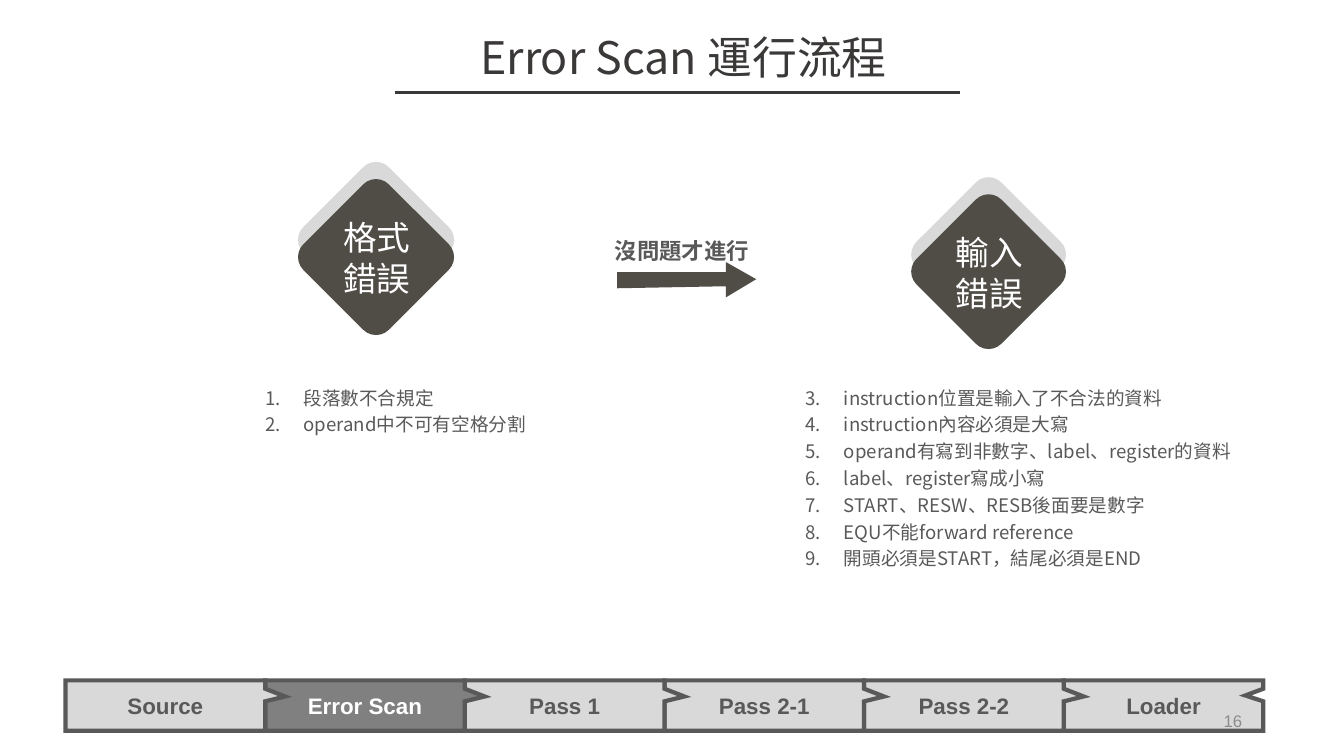
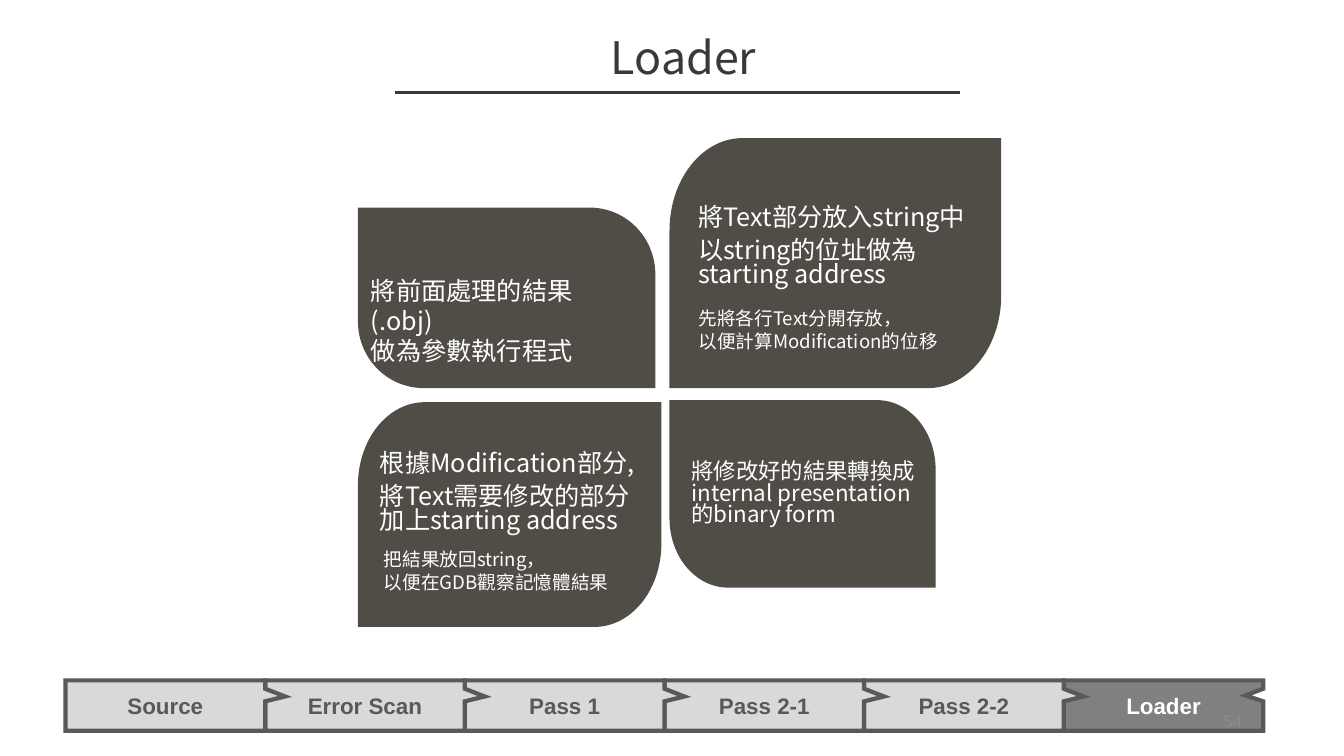
"""Build two slides on the assembler flow: Error Scan and Loader."""
from copy import deepcopy
from dataclasses import dataclass
from math import cos, pi, sin
from typing import Iterable, Sequence

from pptx import Presentation
from pptx.dml.color import RGBColor
from pptx.enum.shapes import MSO_CONNECTOR, MSO_SHAPE
from pptx.enum.text import MSO_ANCHOR as Anchor, MSO_AUTO_SIZE as AutoSize, PP_ALIGN as Align
from pptx.oxml.ns import qn
from pptx.oxml.xmlchemy import OxmlElement
from pptx.util import Pt

EMU_PER_PX = 9144
SANS, CJK = "Arial", "Noto Sans CJK SC"
INK, DARK, GRAY = "3B3838", "504D47", "595959"
PALE, ACTIVE, WHITE, FAINT = "D9D9D9", "808080", "FFFFFF", "8C8C8C"
STAGES = ("Source", "Error Scan", "Pass 1", "Pass 2-1", "Pass 2-2", "Loader")
TAB_LEFT, TAB_TOP, TAB_WIDTH, TAB_HEIGHT = 65, 675, 198, 50
TWO_CONTENT, TITLE_ONLY = 3, 5
CORNERS = ((0, 0), (1, 0), (1, 1), (0, 1))


@dataclass(frozen=True)
class Box:
    left: int
    top: int
    width: int
    height: int

    def emu(self) -> tuple[int, ...]:
        return tuple(px(side) for side in (self.left, self.top, self.width, self.height))


@dataclass(frozen=True)
class Diamond:
    text: str
    left: int
    top: int
    side: int


@dataclass(frozen=True)
class NumberedList:
    box: Box
    start: int
    items: tuple[str, ...]


@dataclass(frozen=True)
class Caption:
    box: Box
    paragraphs: tuple[str, ...]
    size: float
    spacing: float = 1.0
    gap: float = 0


@dataclass(frozen=True)
class Leaf:
    box: Box
    rounded: tuple[int, int]
    captions: tuple[Caption, ...]


DIAMONDS = (Diamond("格式錯誤", 313, 178, 120), Diamond("輸入錯誤", 921, 193, 119))

LISTS = (
    NumberedList(Box(263, 379, 289, 52), 1, ("段落數不合規定", "operand中不可有空格分割")),
    NumberedList(Box(799, 379, 511, 186), 3, (
        "instruction位置是輸入了不合法的資料",
        "instruction內容必須是大寫",
        "operand有寫到非數字、label、register的資料",
        "label、register寫成小寫",
        "START、RESW、RESB後面要是數字",
        "EQU不能forward reference",
        "開頭必須是START，結尾必須是END",
    )),
)

ARROW = ((612, 286), (720, 284), (720, 295), (750, 277), (720, 260), (720, 270), (612, 270))

LEAVES = (
    Leaf(Box(355, 399, 301, 223), (0, 2), (
        Caption(Box(367, 445, 288, 91),
                ("根據Modification部分,", "將Text需要修改的部分加上starting address"), 18, 0.8, 6),
        Caption(Box(371, 539, 254, 55), ("把結果放回string，\n以便在GDB觀察記憶體結果",), 13.3),
    )),
    Leaf(Box(355, 206, 295, 179), (1, 3), (
        Caption(Box(358, 268, 280, 71), ("將前面處理的結果 (.obj)\n做為參數執行程式",), 18),
    )),
    Leaf(Box(664, 397, 264, 186), (1, 3), (
        Caption(Box(676, 454, 263, 75),
                ("將修改好的結果轉換成internal presentation\n的binary form",), 16, 0.8),
    )),
    Leaf(Box(664, 137, 329, 248), (0, 2), (
        Caption(Box(683, 201, 310, 91),
                ("將Text部分放入string中", "以string的位址做為starting address"), 18, 0.8, 6),
        Caption(Box(683, 300, 264, 55),
                ("先將各行Text分開存放，\n以便計算Modification的位移",), 13.3),
    )),
)


def px(length: float) -> int:
    return round(length * EMU_PER_PX)


def color(value: str) -> RGBColor:
    return RGBColor.from_string(value)


def place(shape, box: Box) -> None:
    shape.left, shape.top, shape.width, shape.height = box.emu()


def paint(shape, fill: str, line: str | None = None, width: float = 0) -> None:
    shape.shadow.inherit = False
    shape.fill.solid()
    shape.fill.fore_color.rgb = color(fill)
    if line is None:
        shape.line.fill.background()
        return
    shape.line.color.rgb = color(line)
    shape.line.width = Pt(width)
    miter = OxmlElement("a:miter")
    miter.set("lim", "800000")
    shape.line._get_or_add_ln().append(miter)


def number_paragraph(paragraph, start: int) -> None:
    properties = paragraph._p.get_or_add_pPr()
    properties.set("marL", str(px(38)))
    properties.set("indent", str(-px(38)))
    bullet = OxmlElement("a:buAutoNum")
    bullet.set("type", "arabicPeriod")
    if start > 1:
        bullet.set("startAt", str(start))
    properties.append(bullet)


def write(shape, paragraphs: Iterable[str], *, size: float, ink: str, font: str = CJK,
          bold: bool = False, align: Align = Align.LEFT, anchor: Anchor = Anchor.TOP,
          insets: tuple[int, int] = (10, 5), spacing: float = 1.0, gap: float = 0,
          start: int | None = None) -> None:
    frame = shape.text_frame
    frame.word_wrap = True
    frame.auto_size = AutoSize.NONE
    frame.vertical_anchor = anchor
    frame.margin_left = frame.margin_right = px(insets[0])
    frame.margin_top = frame.margin_bottom = px(insets[1])
    for index, text in enumerate(paragraphs):
        paragraph = frame.add_paragraph() if index else frame.paragraphs[0]
        paragraph.text = text
        if start is not None:
            number_paragraph(paragraph, start)
        paragraph.alignment = align
        paragraph.line_spacing = spacing
        paragraph.space_before = Pt(gap if index else 0)
        for run in paragraph.runs:
            run.font.name, run.font.size, run.font.bold = font, Pt(size), bold
            run.font.color.rgb = color(ink)
            east_asian = OxmlElement("a:ea")
            east_asian.set("typeface", font)
            run._r.get_or_add_rPr().append(east_asian)
        for line_break in paragraph._p.findall(qn("a:br")):
            line_break.insert(0, deepcopy(paragraph.runs[0]._r.rPr))


def add_text(slide, box: Box, paragraphs: Iterable[str], **text_format) -> None:
    write(slide.shapes.add_textbox(*box.emu()), paragraphs, **text_format)


def add_outline(slide, points: Sequence[tuple[float, float]], fill: str) -> None:
    corners = [(px(x), px(y)) for x, y in points]
    builder = slide.shapes.build_freeform(*corners[0])
    builder.add_line_segments(corners[1:], close=True)
    paint(builder.convert_to_shape(), fill)


def add_stage_tabs(slide, current: str) -> None:
    for index, stage in reversed(list(enumerate(STAGES))):
        box = Box(TAB_LEFT + index * TAB_WIDTH, TAB_TOP, TAB_WIDTH, TAB_HEIGHT)
        tab = slide.shapes.add_shape(MSO_SHAPE.RECTANGULAR_CALLOUT, *box.emu())
        is_last, is_current = index == len(STAGES) - 1, stage == current
        tab.adjustments[0], tab.adjustments[1] = (0.41, -0.2) if is_last else (0.6, -0.18)
        paint(tab, ACTIVE if is_current else PALE, GRAY, 3)
        write(tab, [stage], size=16, ink=WHITE if is_current else GRAY, font=SANS,
              bold=True, align=Align.CENTER, anchor=Anchor.MIDDLE)


def add_base_slide(presentation, layout: int, title: str, stage: str):
    slide = presentation.slides.add_slide(presentation.slide_layouts[layout])
    add_stage_tabs(slide, stage)
    place(slide.shapes.title, Box(375, 24, 606, 64))
    write(slide.shapes.title, [title], size=32, ink=INK, align=Align.CENTER)
    rule = slide.shapes.add_connector(MSO_CONNECTOR.STRAIGHT, px(392), px(92), px(952), px(92))
    rule.line.color.rgb = color(INK)
    rule.line.width = Pt(2)
    rule._element.spPr.append(OxmlElement("a:effectLst"))
    return slide


def add_page_number(slide, number: int) -> None:
    add_text(slide, Box(942, 695, 300, 40), [str(number)], size=12, ink=FAINT, font=SANS,
             align=Align.RIGHT, anchor=Anchor.MIDDLE)


def add_diamond(slide, diamond: Diamond) -> None:
    for offset, fill in ((0, PALE), (17, DARK)):
        box = Box(diamond.left, diamond.top + offset, diamond.side, diamond.side)
        square = slide.shapes.add_shape(MSO_SHAPE.ROUNDED_RECTANGLE, *box.emu())
        square.rotation = 315
        square.adjustments[0] = 0.15
        paint(square, fill)
    add_text(slide, Box(diamond.left + 1, diamond.top + 66, diamond.side - 1, 23),
             [diamond.text], size=24, ink=WHITE, align=Align.CENTER,
             anchor=Anchor.MIDDLE, insets=(13, 7))


def leaf_points(leaf: Leaf, steps: int = 24) -> list[tuple[float, float]]:
    box = leaf.box
    radius_x, radius_y = 0.22 * box.width, 0.37 * box.height
    points = []
    for index, (right, bottom) in enumerate(CORNERS):
        x, y = box.left + right * box.width, box.top + bottom * box.height
        if index not in leaf.rounded:
            points.append((x, y))
            continue
        center_x, center_y = x + (1 - 2 * right) * radius_x, y + (1 - 2 * bottom) * radius_y
        for step in range(steps + 1):
            angle = pi + (index + step / steps) * pi / 2
            points.append((center_x + radius_x * cos(angle), center_y + radius_y * sin(angle)))
    return points


def add_leaf(slide, leaf: Leaf) -> None:
    add_outline(slide, leaf_points(leaf), DARK)
    for caption in leaf.captions:
        add_text(slide, caption.box, caption.paragraphs, size=caption.size, ink=WHITE,
                 spacing=caption.spacing, gap=caption.gap)


def build_error_scan(presentation) -> None:
    slide = add_base_slide(presentation, TWO_CONTENT, "Error Scan 運行流程", "Error Scan")
    for diamond in DIAMONDS:
        add_diamond(slide, diamond)
    for index, numbered in enumerate(LISTS, start=1):
        body = slide.placeholders[index]
        place(body, numbered.box)
        write(body, numbered.items, size=13.3, ink=GRAY, align=Align.JUSTIFY,
              insets=(0, 0), spacing=1.2, start=numbered.start)
    add_outline(slide, ARROW, DARK)
    add_text(slide, Box(600, 230, 155, 37), ["沒問題才進行"], size=16, ink=GRAY, bold=True)
    add_page_number(slide, 16)


def build_loader(presentation) -> None:
    slide = add_base_slide(presentation, TITLE_ONLY, "Loader", "Loader")
    for leaf in LEAVES:
        add_leaf(slide, leaf)
    add_page_number(slide, 54)


def main() -> None:
    presentation = Presentation()
    presentation.slide_width, presentation.slide_height = px(1333), px(750)
    build_error_scan(presentation)
    build_loader(presentation)
    presentation.save("out.pptx")


if __name__ == "__main__":
    main()
